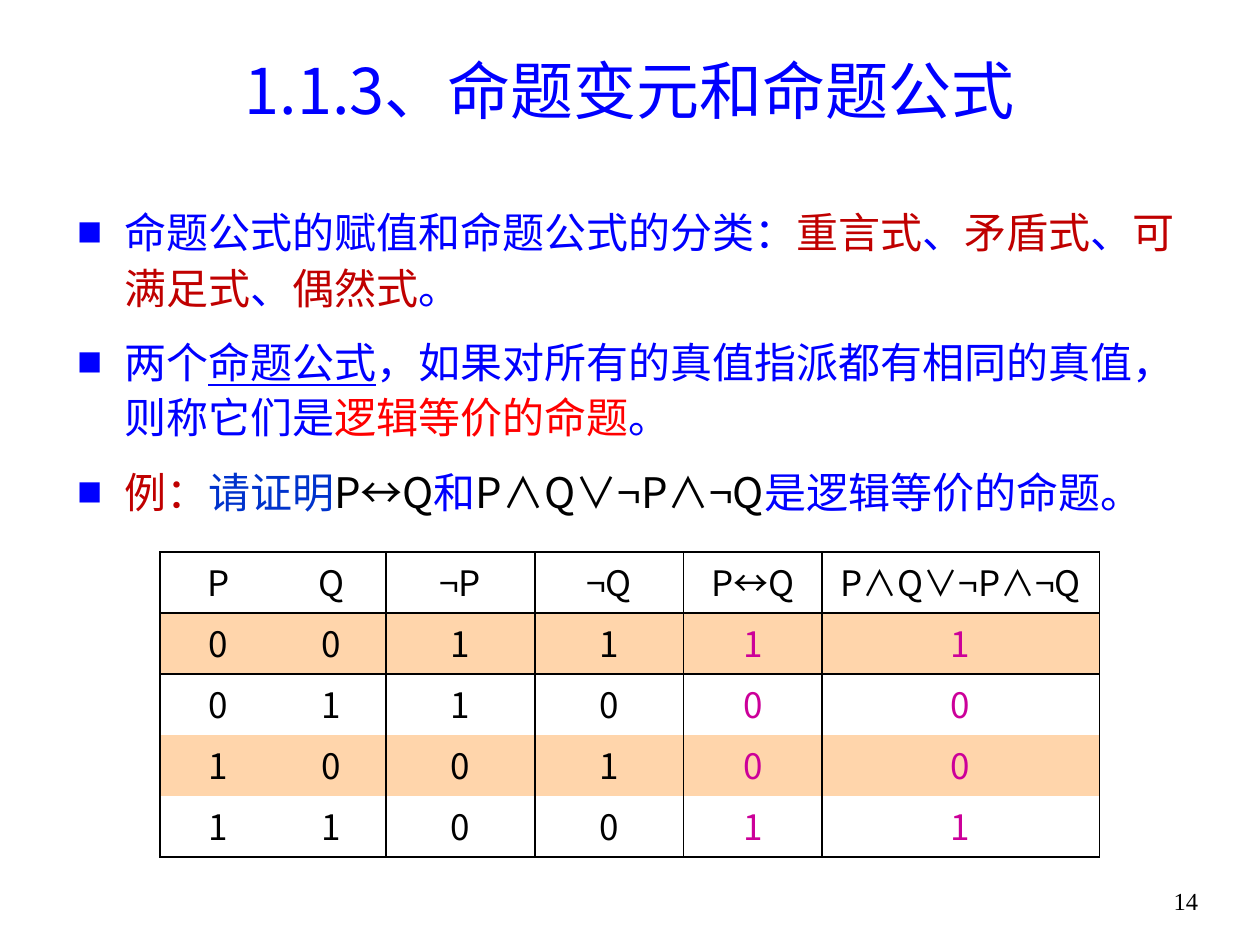
from typing import NamedTuple

from lxml import etree
from pptx import Presentation
from pptx.dml.color import RGBColor
from pptx.enum.text import MSO_ANCHOR, MSO_AUTO_SIZE, PP_ALIGN
from pptx.oxml.ns import qn
from pptx.util import Cm, Pt

CENTER = PP_ALIGN.CENTER
MIDDLE = MSO_ANCHOR.MIDDLE
NO_AUTOFIT = MSO_AUTO_SIZE.NONE

CJK_FONT = "Noto Sans CJK SC"
NUMBER_FONT = "Times New Roman"
BLUE, DEEP_BLUE = "0000FF", "0033CC"
DARK_RED, RED = "C00000", "FF0000"
BLACK, MAGENTA, PEACH = "000000", "CC0099", "FFD5AB"
PLAIN_TABLE_STYLE = "{2D5ABB26-0587-4C30-8999-92F81FD0307C}"


class Phrase(NamedTuple):
    text: str
    color: str = BLUE
    underlined: bool = False


BULLETS = [
    [
        Phrase("命题公式的赋值和命题公式的分类："),
        Phrase("重言式", DARK_RED), Phrase("、"),
        Phrase("矛盾式", DARK_RED), Phrase("、"),
        Phrase("可满足式", DARK_RED), Phrase("、"),
        Phrase("偶然式", DARK_RED), Phrase("。"),
    ],
    [
        Phrase("两个"),
        Phrase("命题公式", underlined=True),
        Phrase("，如果对所有的真值指派都有相同的真值，则称它们是"),
        Phrase("逻辑等价的命题", RED), Phrase("。"),
    ],
    [
        Phrase("例：", DARK_RED),
        Phrase("请证明", DEEP_BLUE),
        Phrase("P↔Q", BLACK), Phrase("和"),
        Phrase("P∧Q∨¬P∧¬Q", BLACK), Phrase("是逻辑等价的命题。"),
    ],
]

TRUTH_TABLE = [
    ["P", "Q", "¬P", "¬Q", "P↔Q", "P∧Q∨¬P∧¬Q"],
    ["0", "0", "1", "1", "1", "1"],
    ["0", "1", "1", "0", "0", "0"],
    ["1", "0", "0", "1", "0", "0"],
    ["1", "1", "0", "0", "1", "1"],
]
COLUMN_WIDTHS = [2.34, 2.21, 3, 3, 2.79, 5.59]
ROW_HEIGHT = 1.23
FIRST_RESULT_COLUMN = 4


def rgb(color: str) -> RGBColor:
    return RGBColor.from_string(color)


def format_run(run, size: float, color: str, font: str = CJK_FONT) -> None:
    run.font.size = Pt(size)
    run.font.name = font
    run.font.color.rgb = rgb(color)
    east_asian = etree.SubElement(run.font._element, qn("a:ea"))
    east_asian.set("typeface", font)


def place(shape, left: float, top: float, width: float, height: float) -> None:
    shape.left, shape.top = Cm(left), Cm(top)
    shape.width, shape.height = Cm(width), Cm(height)


def add_square_bullet(paragraph) -> None:
    properties = paragraph._p.get_or_add_pPr()
    properties.set("marL", str(Cm(0.95)))
    properties.set("indent", str(-Cm(0.95)))
    bullet_color = etree.SubElement(properties, qn("a:buClr"))
    etree.SubElement(bullet_color, qn("a:srgbClr")).set("val", BLUE)
    etree.SubElement(properties, qn("a:buSzPct")).set("val", "60000")
    etree.SubElement(properties, qn("a:buFont")).set("typeface", CJK_FONT)
    etree.SubElement(properties, qn("a:buChar")).set("char", "■")


def write_bullets(body) -> None:
    frame = body.text_frame
    frame.auto_size = NO_AUTOFIT
    for index, phrases in enumerate(BULLETS):
        paragraph = frame.add_paragraph() if index else frame.paragraphs[0]
        paragraph.line_spacing = 1.1
        paragraph.space_before = Pt(4.8)
        paragraph.space_after = Pt(6)
        add_square_bullet(paragraph)
        for phrase in phrases:
            run = paragraph.add_run()
            run.text = phrase.text
            format_run(run, 24, phrase.color)
            if phrase.underlined:
                run.font.underline = True


def set_borders(cell, sides: str) -> None:
    """Draw black lines on the given sides, any of the letters L, R, T and B."""
    properties = cell._tc.get_or_add_tcPr()
    for position, side in enumerate(sides):
        line = etree.Element(qn(f"a:ln{side}"), w=str(Pt(1)))
        fill = etree.SubElement(line, qn("a:solidFill"))
        etree.SubElement(fill, qn("a:srgbClr")).set("val", BLACK)
        properties.insert(position, line)


def add_truth_table(slide, left: float, top: float) -> None:
    row_count = len(TRUTH_TABLE)
    table = slide.shapes.add_table(
        row_count, len(COLUMN_WIDTHS), Cm(left), Cm(top),
        Cm(sum(COLUMN_WIDTHS)), Cm(ROW_HEIGHT * row_count),
    ).table
    table.first_row = table.horz_banding = False
    table._tbl.tblPr.find(qn("a:tableStyleId")).text = PLAIN_TABLE_STYLE
    for column, width in zip(table.columns, COLUMN_WIDTHS):
        column.width = Cm(width)
    for r, values in enumerate(TRUTH_TABLE):
        table.rows[r].height = Cm(ROW_HEIGHT)
        for c, value in enumerate(values):
            cell = table.cell(r, c)
            cell.vertical_anchor = MIDDLE
            if r % 2:
                cell.fill.solid()
                cell.fill.fore_color.rgb = rgb(PEACH)
            else:
                cell.fill.background()
            # P and Q share one box, so no line runs between them.
            sides = ("" if c == 1 else "L") + ("" if c == 0 else "R")
            sides += "T" if r in (0, 1) else ""
            sides += "B" if r in (0, row_count - 1) else ""
            set_borders(cell, sides)
            paragraph = cell.text_frame.paragraphs[0]
            paragraph.text = value
            paragraph.alignment = CENTER
            paragraph.line_spacing = 0.9
            paragraph.space_before = Pt(4)
            is_result = r > 0 and c >= FIRST_RESULT_COLUMN
            format_run(paragraph.runs[0], 20, MAGENTA if is_result else BLACK)


def main() -> None:
    presentation = Presentation()
    presentation.slide_width, presentation.slide_height = Cm(25.4), Cm(19.05)
    slide = presentation.slides.add_slide(presentation.slide_layouts[1])

    title, body = slide.placeholders
    place(title, 1.9, 0.91, 21.59, 1.8)
    title.text_frame.text = "1.1.3、命题变元和命题公式"
    title.text_frame.auto_size = NO_AUTOFIT
    title.text_frame.vertical_anchor = MIDDLE
    heading = title.text_frame.paragraphs[0]
    heading.alignment = CENTER
    format_run(heading.runs[0], 36, BLUE)

    place(body, 1.3, 3.94, 22.81, 6.81)
    write_bullets(body)
    add_truth_table(slide, 3.23, 11.13)

    page_number = slide.shapes.add_textbox(Cm(22.71), Cm(17.73), Cm(2.39), Cm(0.89))
    page_number.text_frame.word_wrap = True
    number = page_number.text_frame.paragraphs[0]
    number.text = "14"
    number.alignment = CENTER
    format_run(number.runs[0], 14, BLACK, NUMBER_FONT)

    presentation.save("out.pptx")


if __name__ == "__main__":
    main()
